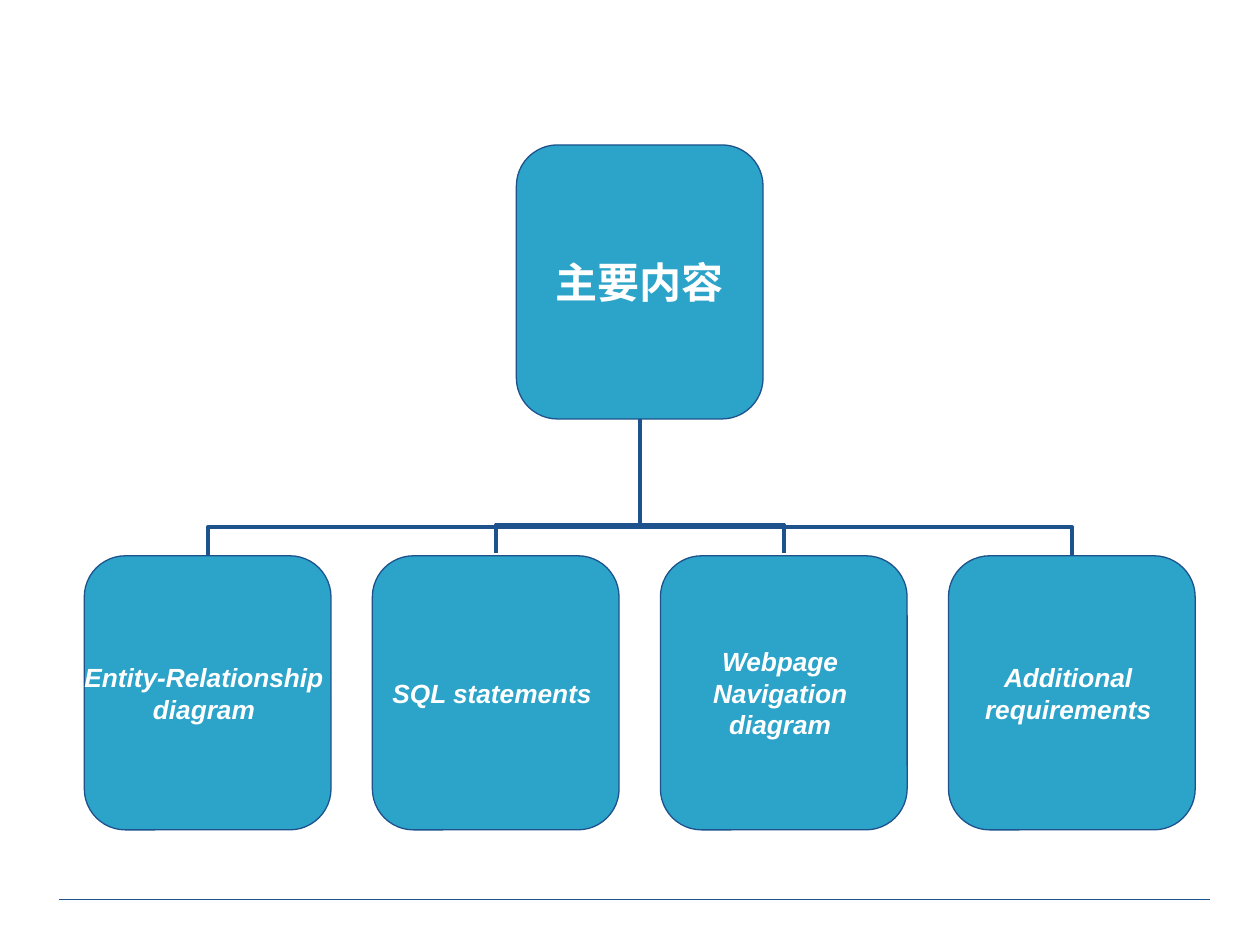
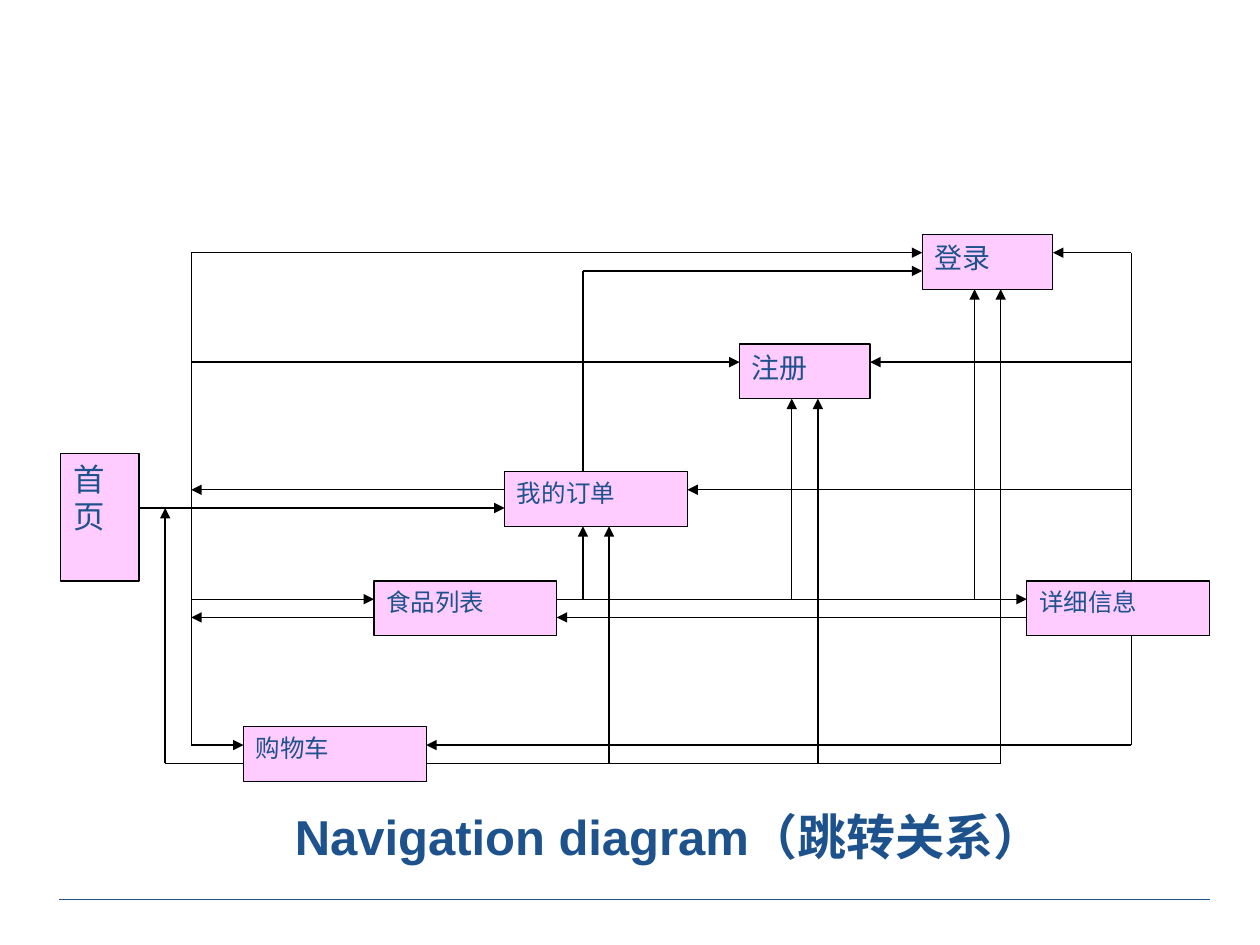
from lxml.etree import SubElement
from pptx import Presentation
from pptx.dml.color import RGBColor
from pptx.enum.shapes import MSO_CONNECTOR, MSO_SHAPE
from pptx.enum.text import MSO_ANCHOR, MSO_AUTO_SIZE, PP_ALIGN
from pptx.oxml.ns import qn
from pptx.util import Pt

COLORS = {"navy": "1D528D", "teal": "2CA3C8", "pink": "FFCCFF",
          "black": "000000", "white": "FFFFFF"}

# Slide 1: a topic and its branches, one entry per line of text
TOPIC = ["主要内容"]
BRANCHES = [
    ["Entity-Relationship ", "diagram "],
    ["SQL statements "],
    ["Webpage ", "Navigation ", "diagram "],
    ["Additional ", "requirements "],
]
CARD_W, CARD_H = 141, 156.6
CARD_LEFT, CARD_STEP = 48.2, 164.6
TOPIC_TOP, BRANCH_TOP = 82.8, 317.6
INNER_LIFT = 1.5    # the inner links sit slightly higher than the outer ones
BEND = 20900        # where a link bends, in 1/100000 of its rise

# Slide 2: everything sits on a grid, measured in columns and rows
CAPTION = "Navigation diagram（跳转关系）"
GRID_LEFT, GRID_TOP = 34.7, 134
COLUMN, ROW = 14.92, 10.42
PAGES = [  # text, font size, column, row, columns wide, rows high
    ("首页", 18, 0, 12, 3, 7),
    ("登录", 16, 33, 0, 5, 3),
    ("注册", 16, 26, 6, 5, 3),
    ("我的订单", 14, 17, 13, 7, 3),
    ("食品列表", 14, 12, 19, 7, 3),
    ("购物车", 14, 7, 27, 7, 3),
    ("详细信息", 14, 37, 19, 7, 3),
]
ROUTES = [  # corner points; the arrowhead is at the last one
    # from the home page and its trunk
    [(3, 15), (17, 15)],
    [(5, 28), (5, 1), (33, 1)],
    [(5, 28), (7, 28)],
    [(5, 20), (12, 20)],
    [(5, 7), (26, 7)],
    # from the food list
    [(19, 20), (37, 20)],
    [(20, 20), (20, 16)],
    [(28, 20), (28, 9)],
    [(35, 20), (35, 3)],
    [(12, 21), (5, 21)],
    # from the details
    [(37, 21), (19, 21)],
    [(41, 22), (41, 28), (14, 28)],
    [(41, 19), (41, 1), (38, 1)],
    [(41, 7), (31, 7)],
    [(41, 14), (24, 14)],
    # from the shopping cart
    [(14, 29), (36, 29), (36, 3)],
    [(29, 29), (29, 9)],
    [(21, 29), (21, 16)],
    [(7, 29), (4, 29), (4, 15)],
    # from the orders
    [(17, 14), (5, 14)],
    [(20, 13), (20, 2), (33, 2)],
]


def rgb(name):
    return RGBColor.from_string(COLORS[name])


def style_text(frame, font, size, color, align, bold=False, italic=False):
    for paragraph in frame.paragraphs:
        paragraph.alignment = align
        for run in paragraph.runs:
            run.font.name, run.font.size = font, Pt(size)
            run.font.bold, run.font.italic = bold, italic
            run.font.color.rgb = rgb(color)


def add_box(slide, preset, left, top, width, height, fill, outline):
    box = slide.shapes.add_shape(preset, Pt(left), Pt(top), Pt(width), Pt(height))
    box.shadow.inherit = False
    box.fill.solid()
    box.fill.fore_color.rgb = rgb(fill)
    box.line.color.rgb = rgb(outline)
    box.line.width = Pt(0.75)
    return box


def add_line(slide, start, end, color, weight=0.75, kind=MSO_CONNECTOR.STRAIGHT,
             arrow=False):
    line = slide.shapes.add_connector(kind, *map(Pt, (*start, *end)))
    line.line.color.rgb = rgb(color)
    line.line.width = Pt(weight)
    if arrow:
        SubElement(line.line._get_or_add_ln(), qn("a:tailEnd"), type="triangle")
    SubElement(line.element.spPr, qn("a:effectLst"))
    return line


def add_footer_rule(prs, slide):
    """Draw the rule, then move it to the master so that every slide shows it."""
    rule = add_line(slide, (33.8, 514), (691.2, 514), "navy")
    prs.slide_master.shapes.element.append(rule.element)


def add_card(slide, lines, left, top, size, italic):
    card = add_box(slide, MSO_SHAPE.ROUNDED_RECTANGLE, left, top,
                   CARD_W, CARD_H, "teal", "navy")
    frame = card.text_frame
    frame.text = "\n".join(lines)
    frame.word_wrap = False
    frame.vertical_anchor = MSO_ANCHOR.MIDDLE
    frame.margin_left = frame.margin_right = 0
    frame.margin_top = frame.margin_bottom = 0
    style_text(frame, "Arial", size, "white", PP_ALIGN.CENTER, True, italic)


def add_tree_link(slide, branch_x, branch_y, topic_x, topic_y):
    """Elbow that leaves the branch upwards: a sideways elbow, turned a quarter."""
    mid_x, mid_y = (branch_x + topic_x) / 2, (branch_y + topic_y) / 2
    half_rise = (branch_y - topic_y) / 2
    half_span = abs(branch_x - topic_x) / 2
    side = 1 if branch_x < topic_x else -1
    link = add_line(slide, (mid_x + side * half_rise, mid_y + half_span),
                    (mid_x - side * half_rise, mid_y - half_span),
                    "navy", 2.25, MSO_CONNECTOR.ELBOW)
    properties = link.element.spPr
    turn = 90 if side == 1 else 270
    properties.find(qn("a:xfrm")).set("rot", str(turn * 60000))
    adjustments = properties.find(qn("a:prstGeom")).get_or_add_avLst()
    SubElement(adjustments, qn("a:gd"), name="adj1", fmla=f"val {BEND}")


def build_contents(slide):
    lefts = [CARD_LEFT + i * CARD_STEP for i in range(len(BRANCHES))]
    topic_left = (lefts[0] + lefts[-1]) / 2
    for left in lefts:
        lift = 0 if left in (lefts[0], lefts[-1]) else INNER_LIFT
        add_tree_link(slide, left + CARD_W / 2, BRANCH_TOP - lift,
                      topic_left + CARD_W / 2, TOPIC_TOP + CARD_H - lift)
    add_card(slide, TOPIC, topic_left, TOPIC_TOP, 24, False)
    for lines, left in zip(BRANCHES, lefts):
        add_card(slide, lines, left, BRANCH_TOP, 15, True)


def grid_point(column, row):
    return GRID_LEFT + column * COLUMN, GRID_TOP + row * ROW


def build_navigation(slide):
    for text, size, column, row, columns, rows in PAGES:
        page = add_box(slide, MSO_SHAPE.RECTANGLE, *grid_point(column, row),
                       columns * COLUMN, rows * ROW, "pink", "black")
        page.text_frame.text = text
        page.text_frame.word_wrap = True
        page.text_frame.vertical_anchor = MSO_ANCHOR.TOP
        style_text(page.text_frame, "Times New Roman", size, "navy", PP_ALIGN.JUSTIFY)

    for route in ROUTES:
        for start, end in zip(route, route[1:]):
            add_line(slide, grid_point(*start), grid_point(*end), "black",
                     arrow=end == route[-1])

    caption = slide.shapes.title
    caption.left, caption.top = Pt(161.3), Pt(457.2)
    caption.width, caption.height = Pt(476), Pt(41)
    frame = caption.text_frame
    frame.text = CAPTION
    frame.word_wrap = True
    frame.auto_size = MSO_AUTO_SIZE.NONE
    frame.vertical_anchor = MSO_ANCHOR.MIDDLE
    style_text(frame, "Arial", 28, "navy", PP_ALIGN.LEFT, bold=True)


def main():
    prs = Presentation()
    prs.slide_width, prs.slide_height = Pt(720), Pt(540)
    title_only, blank = prs.slide_layouts[5], prs.slide_layouts[6]
    contents = prs.slides.add_slide(blank)
    add_footer_rule(prs, contents)
    build_contents(contents)
    build_navigation(prs.slides.add_slide(title_only))
    prs.save("out.pptx")


if __name__ == "__main__":
    main()
